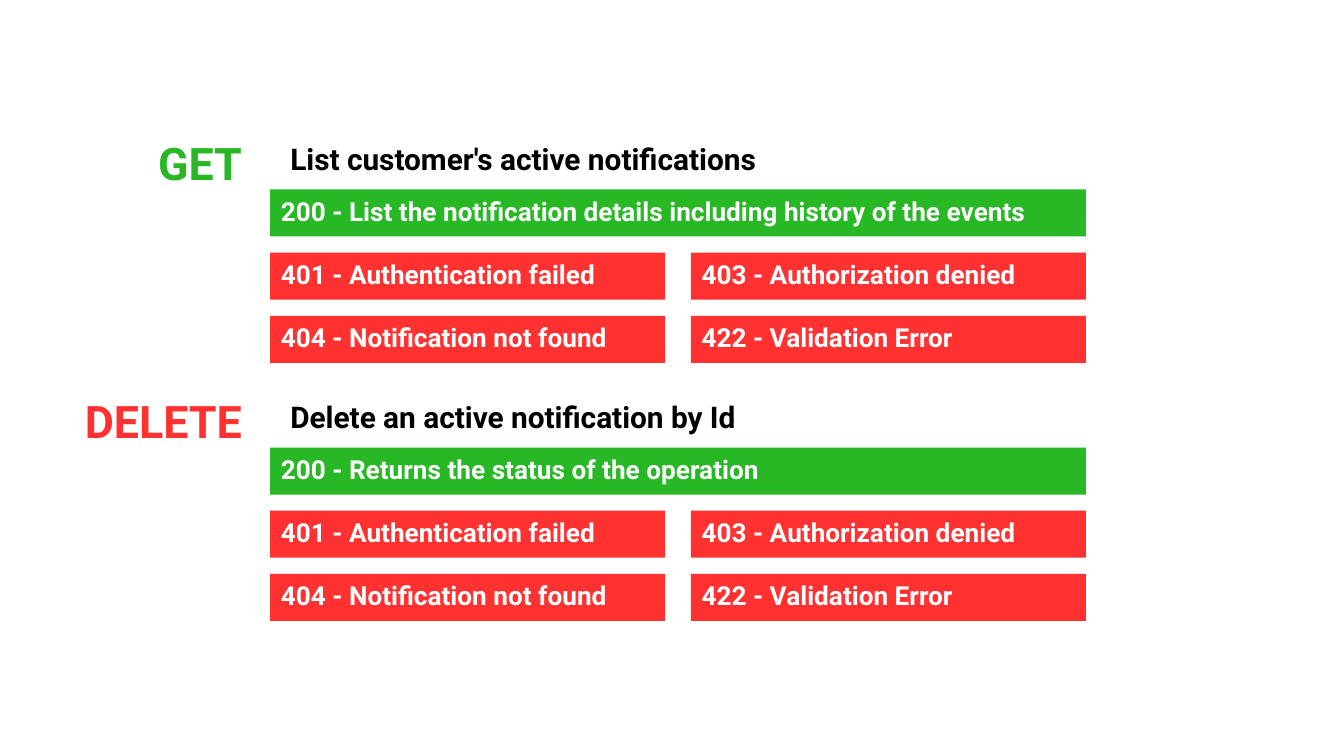
from pptx import Presentation
from pptx.dml.color import RGBColor
from pptx.enum.shapes import MSO_SHAPE
from pptx.enum.text import MSO_ANCHOR, PP_ALIGN
from pptx.util import Inches, Pt

GREEN, RED, BLACK, WHITE = "28B825", "FF3131", "000000", "FFFFFF"
PAGE_WIDTH = 10
LEFT, FULL_WIDTH, HALF_WIDTH, BAR_HEIGHT = 2.01, 6.07, 2.94, 0.35
COLUMN_STEP, ROW_STEP, OPERATION_STEP = 3.13, 0.47, 1.92
FIRST_TOP = 1.0

ERRORS = [
    ["401 - Authentication failed", "403 - Authorization denied"],
    ["404 - Notification not found", "422 - Validation Error"],
]
OPERATIONS = [
    ("GET", GREEN, "List customer's active notifications",
     "200 - List the notification details including history of the events"),
    ("DELETE", RED, "Delete an active notification by Id",
     "200 - Returns the status of the operation"),
]


def color(value):
    """Turn a hex string into a colour."""
    return RGBColor.from_string(value)


def write(shape, text, size, spacing, fill, align=PP_ALIGN.LEFT, inset=(0, 0)):
    """Write one bold paragraph into a shape."""
    frame = shape.text_frame
    frame.word_wrap = True
    frame.vertical_anchor = MSO_ANCHOR.TOP
    frame.margin_left, frame.margin_top = map(Inches, inset)
    frame.margin_right = frame.margin_bottom = 0
    para = frame.paragraphs[0]
    para.alignment = align
    para.line_spacing = Pt(spacing)
    span = para.add_run()
    span.text = text
    span.font.name = "Roboto"
    span.font.size = Pt(size)
    span.font.bold = True
    span.font.color.rgb = color(fill)


class ApiPage:
    """Hold the current slide and draw its API elements."""

    def __init__(self, page):
        """Keep the slide to draw on."""
        self.page = page

    def label(self, text, left, top, width, height, **style):
        """Add a plain text box."""
        box = self.page.shapes.add_textbox(*map(Inches, (left, top, width, height)))
        write(box, text, **style)

    def bar(self, text, left, top, width, fill):
        """Add a coloured response bar."""
        bar = self.page.shapes.add_shape(
            MSO_SHAPE.RECTANGLE, *map(Inches, (left, top, width, BAR_HEIGHT)))
        bar.shadow.inherit = False
        bar.fill.solid()
        bar.fill.fore_color.rgb = color(fill)
        bar.line.fill.background()
        write(bar, text, size=14, spacing=17, fill=WHITE, inset=(0.08, 0.04))

    def operation(self, top, method, method_color, heading, success):
        """Add one operation with its possible responses."""
        self.label(method, 0.57, top, 1.23, 0.39, size=24, spacing=29.3,
                   fill=method_color, align=PP_ALIGN.RIGHT)
        self.label(heading, 2.16, top + 0.05, 5.48, 0.27, size=16,
                   spacing=19.2, fill=BLACK)
        self.bar(success, LEFT, top + 0.41, FULL_WIDTH, GREEN)
        for row, errors in enumerate(ERRORS):
            for column, error in enumerate(errors):
                self.bar(error, LEFT + column * COLUMN_STEP,
                         top + 0.88 + row * ROW_STEP, HALF_WIDTH, RED)


def main():
    """Build and save the deck."""
    deck = Presentation()
    deck.slide_width = Inches(PAGE_WIDTH)
    deck.slide_height = Inches(PAGE_WIDTH * 9 / 16)
    api_page = ApiPage(deck.slides.add_slide(deck.slide_layouts[6]))
    for index, operation in enumerate(OPERATIONS):
        api_page.operation(FIRST_TOP + index * OPERATION_STEP, *operation)
    deck.save("out.pptx")


if __name__ == "__main__":
    main()
